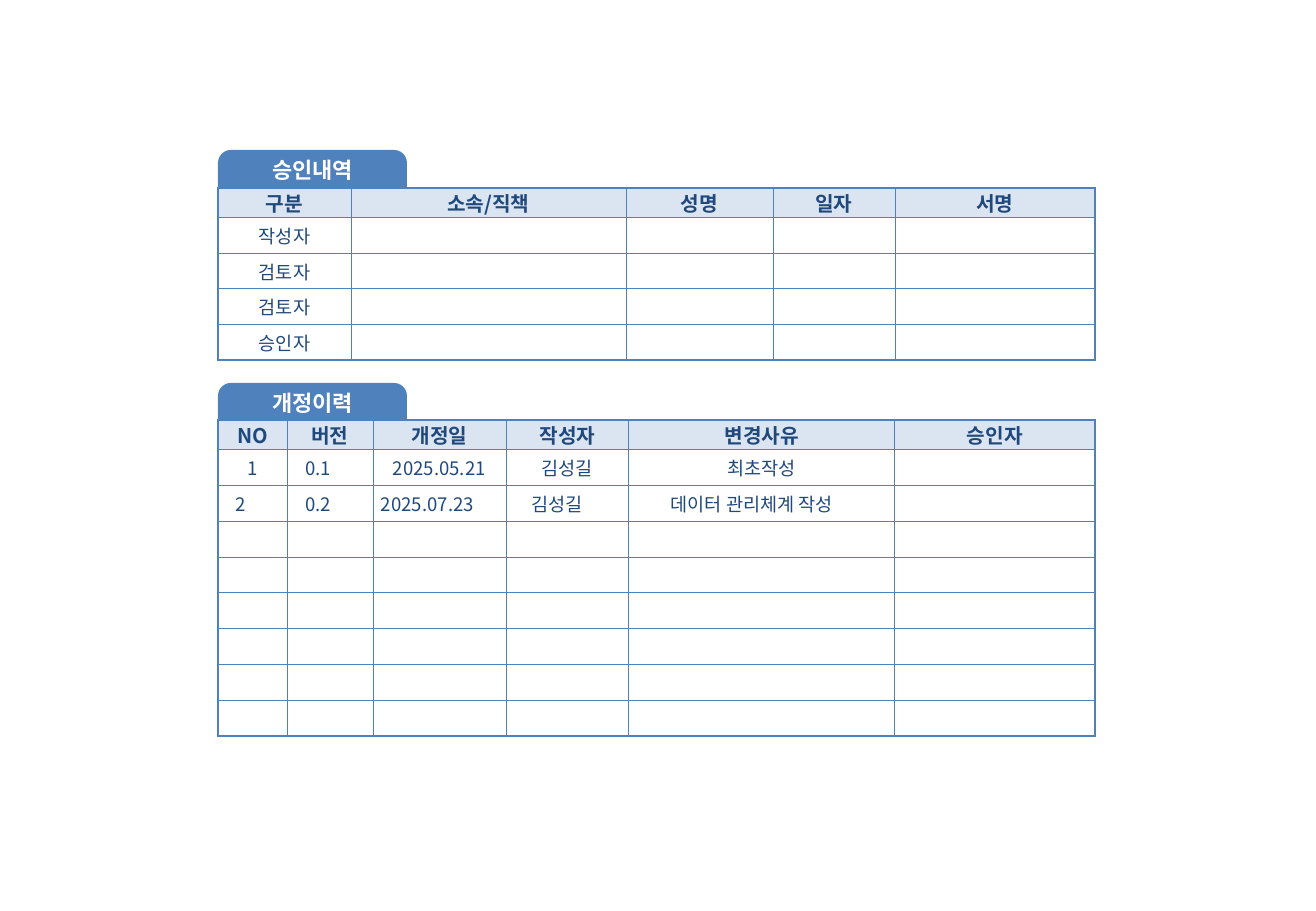
from dataclasses import dataclass

from lxml.etree import SubElement
from pptx import Presentation
from pptx.dml.color import RGBColor
from pptx.enum.shapes import MSO_SHAPE
from pptx.enum.text import MSO_ANCHOR, PP_ALIGN
from pptx.oxml.ns import qn
from pptx.util import Emu, Pt

EMU_PER_PX = 7526


def px(length):
    return Emu(round(length * EMU_PER_PX))


# Theme
@dataclass(frozen=True)
class Theme:
    font: str = "Noto Sans CJK KR"
    blue: str = "4F81BD"
    navy: str = "1F497D"
    pale: str = "DBE5F1"
    white: str = "FFFFFF"
    tab_size: int = 13
    header_size: int = 12
    body_size: int = 11
    outer_line: float = 1.5
    inner_line: float = 0.5


def apply_format(target, values):
    for name, value in values.items():
        setattr(target, name, value)


class FormSlide:
    def __init__(self, presentation, theme):
        self.theme = theme
        self.slide = presentation.slides.add_slide(presentation.slide_layouts[6])

    def label(self, frame, text, size, color, bold):
        paragraph = frame.paragraphs[0]
        paragraph.alignment = PP_ALIGN.CENTER
        if not text:
            # Empty cells need a size so that their row does not grow
            SubElement(paragraph._p, qn("a:endParaRPr"), sz=str(size * 100))
            return
        run = paragraph.add_run()
        run.text = text
        apply_format(run.font, {"size": Pt(size), "bold": bold, "name": self.theme.font})
        run.font.color.rgb = RGBColor.from_string(color)
        SubElement(run._r.get_or_add_rPr(), qn("a:ea"), typeface=self.theme.font)

    def tab(self, text, left, top, width, height):
        shape = self.slide.shapes.add_shape(
            MSO_SHAPE.ROUND_2_SAME_RECTANGLE, px(left), px(top), px(width), px(height))
        shape.shadow.inherit = False
        shape.adjustments[0] = 0.34
        shape.fill.solid()
        shape.fill.fore_color.rgb = RGBColor.from_string(self.theme.blue)
        shape.line.fill.background()
        apply_format(shape.text_frame, {
            "margin_left": px(5), "margin_right": px(5), "margin_top": 0,
            "margin_bottom": px(2), "vertical_anchor": MSO_ANCHOR.MIDDLE})
        self.label(shape.text_frame, text, self.theme.tab_size, self.theme.white, True)

    def borders(self, cell, outer_sides):
        properties = cell._tc.get_or_add_tcPr()
        for side in "LRTB":
            weight = self.theme.outer_line if side in outer_sides else self.theme.inner_line
            line = SubElement(properties, qn(f"a:ln{side}"), w=str(Pt(weight)))
            fill = SubElement(line, qn("a:solidFill"))
            SubElement(fill, qn("a:srgbClr"), val=self.theme.blue)

    def table(self, left, top, height, header_height, widths, rows, right_insets):
        row_count, column_count = len(rows), len(widths)
        table = self.slide.shapes.add_table(
            row_count, column_count, px(left), px(top), px(sum(widths)), px(height)).table
        apply_format(table, {"first_row": False, "horz_banding": False})
        for column, width in zip(table.columns, widths):
            column.width = px(width)
        body_height = (height - header_height) / (row_count - 1)
        for i, row in enumerate(table.rows):
            row.height = px(body_height if i else header_height)
            for j, cell in enumerate(row.cells):
                edges = {"L": j == 0, "R": j == column_count - 1,
                         "T": i == 0, "B": i == row_count - 1}
                self.borders(cell, [side for side, outer in edges.items() if outer])
                apply_format(cell, {
                    "margin_left": 0, "margin_right": px(right_insets.get((i, j), 0)),
                    "margin_top": 0, "margin_bottom": 0,
                    "vertical_anchor": MSO_ANCHOR.MIDDLE})
                if i == 0:
                    cell.fill.solid()
                    cell.fill.fore_color.rgb = RGBColor.from_string(self.theme.pale)
                else:
                    cell.fill.background()
                text = rows[i][j] if j < len(rows[i]) else ""
                size = self.theme.body_size if i else self.theme.header_size
                self.label(cell.text_frame, text, size, self.theme.navy, i == 0)


LEFT = 218
HEADER_HEIGHT = 29
TAB_WIDTH, TAB_HEIGHT = 189, 38

APPROVAL_WIDTHS = [133, 275, 147, 122, 200]
APPROVAL_ROWS = [
    ["구분", "소속/직책", "성명", "일자", "서명"],
    ["작성자"], ["검토자"], ["검토자"], ["승인자"],
]

REVISION_WIDTHS = [69, 86, 133, 123, 266, 200]
REVISION_ROWS = [
    ["NO", "버전", "개정일", "작성자", "변경사유", "승인자"],
    ["1", "0.1", "2025.05.21", "김성길", "최초작성"],
    ["2", "0.2", "2025.07.23", "김성길", "데이터 관리체계 작성"],
    *[[] for _ in range(6)],
]
# Entries set left of centre, by (row, column)
REVISION_INSETS = {(1, 1): 24, (2, 0): 24, (2, 1): 24, (2, 2): 24, (2, 3): 20, (2, 4): 20}


def main():
    presentation = Presentation()
    apply_format(presentation, {"slide_width": px(1316), "slide_height": px(911)})
    form = FormSlide(presentation, Theme())

    # Tables
    form.table(LEFT, 188, 172, HEADER_HEIGHT, APPROVAL_WIDTHS, APPROVAL_ROWS, {})
    form.table(LEFT, 420, 316, HEADER_HEIGHT, REVISION_WIDTHS, REVISION_ROWS, REVISION_INSETS)

    # Title tabs
    for title, top in (("승인내역", 150), ("개정이력", 383)):
        form.tab(title, LEFT, top, TAB_WIDTH, TAB_HEIGHT)

    presentation.save("out.pptx")


if __name__ == "__main__":
    main()
